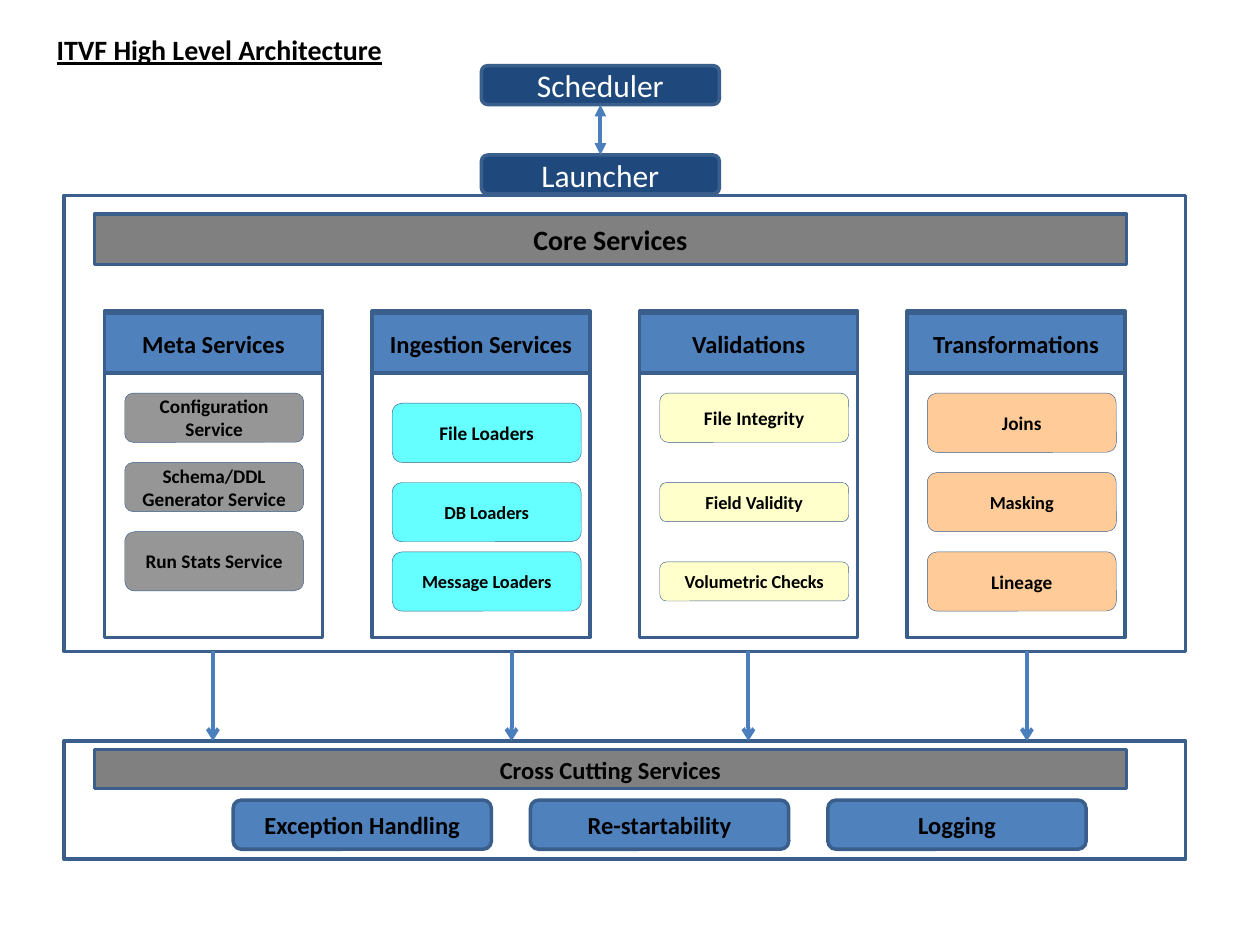
from pptx import Presentation
from pptx.dml.color import RGBColor
from pptx.enum.shapes import MSO_CONNECTOR, MSO_SHAPE
from pptx.enum.text import MSO_ANCHOR, MSO_AUTO_SIZE, PP_ALIGN
from pptx.oxml.ns import qn
from pptx.util import Inches, Pt
from lxml.etree import SubElement

COLORS = {
    "navy": "1F497D",
    "blue": "4F81BD",
    "border": "3A5F8C",
    "arrow": "4B7EBC",
    "bar": "808080",
    "meta": "969696",
    "ingestion": "66FFFF",
    "validation": "FFFFCC",
    "transformation": "FFCC99",
    "black": "000000",
    "white": "FFFFFF",
}
FONT = "Calibri"
RECT = MSO_SHAPE.RECTANGLE
ROUNDED = MSO_SHAPE.ROUNDED_RECTANGLE

COLUMNS = [
    ("Meta Services", "meta", 1.42, [
        ("Configuration Service", 0.65, 0.39, 11),
        ("Schema/DDL Generator Service", 1.2, 0.39, 11),
        ("Run Stats Service", 1.75, 0.47, 11),
    ]),
    ("Ingestion Services", "ingestion", 1.5, [
        ("File Loaders", 0.73, 0.47, 11),
        ("DB Loaders", 1.36, 0.47, 10.5),
        ("Message Loaders", 1.91, 0.47, 10.5),
    ]),
    ("Validations", "validation", 1.5, [
        ("File Integrity", 0.65, 0.39, 11),
        ("Field Validity", 1.36, 0.31, 10.5),
        ("Volumetric Checks", 1.99, 0.31, 10.5),
    ]),
    ("Transformations", "transformation", 1.5, [
        ("Joins", 0.65, 0.47, 11),
        ("Masking", 1.28, 0.47, 10.5),
        ("Lineage", 1.91, 0.47, 11),
    ]),
]
CROSS_CUTTING = ["Exception Handling", "Re-startability", "Logging"]


def color(name):
    return RGBColor.from_string(COLORS[name])


def format_font(font, size, name, bold):
    font.name = FONT
    font.size = Pt(size)
    font.bold = bold
    font.color.rgb = color(name)


def add_box(shapes, kind, box, fill=None, text="", size=14,
            text_color="black", bold=True, border=2):
    shape = shapes.add_shape(kind, *[Inches(length) for length in box])
    shape.shadow.inherit = False
    if fill:
        shape.fill.solid()
        shape.fill.fore_color.rgb = color(fill)
    else:
        shape.fill.background()
    shape.line.color.rgb = color("border")
    shape.line.width = Pt(border)
    if text:
        frame = shape.text_frame
        frame.word_wrap = True
        frame.vertical_anchor = MSO_ANCHOR.MIDDLE
        frame.text = text
        paragraph = frame.paragraphs[0]
        paragraph.alignment = PP_ALIGN.CENTER
        format_font(paragraph.runs[0].font, size, text_color, bold)
    return shape


def add_arrow(shapes, start, end, head=None, tail="arrow"):
    connector = shapes.add_connector(
        MSO_CONNECTOR.STRAIGHT, *[Inches(length) for length in start + end])
    connector.line.color.rgb = color("arrow")
    connector.line.width = Pt(2.25)
    line = connector.line._get_or_add_ln()
    for tag, style in (("a:headEnd", head), ("a:tailEnd", tail)):
        if style:
            SubElement(line, qn(tag), type=style)
    SubElement(connector._element.spPr, qn("a:effectLst"))
    return connector


def add_title(slide, box):
    title = slide.shapes.title
    title.left, title.top, title.width, title.height = [Inches(length) for length in box]
    frame = title.text_frame
    frame.text = "ITVF High Level Architecture"
    frame.word_wrap = False
    frame.auto_size = MSO_AUTO_SIZE.NONE
    frame.vertical_anchor = MSO_ANCHOR.TOP
    paragraph = frame.paragraphs[0]
    paragraph.alignment = PP_ALIGN.LEFT
    font = paragraph.runs[0].font
    format_font(font, 16, "black", True)
    font.underline = True


def add_launch_chain(slide, box):
    left, top, width, height = box
    box_height = 0.31
    scheduler, launcher = [
        add_box(slide.shapes, ROUNDED, (left, box_top, width, box_height), "navy",
                text, 18, "white", False)
        for text, box_top in (("Scheduler", top), ("Launcher", top + height - box_height))
    ]
    middle = left + width / 2
    link = add_arrow(slide.shapes, (middle, top + box_height),
                     (middle, top + height - box_height), "triangle", "triangle")
    link.begin_connect(scheduler, 2)
    link.end_connect(launcher, 0)


def add_column(shapes, box, heading, fill, item_width, items):
    left, top, width, height = box
    add_box(shapes, RECT, box)
    add_box(shapes, RECT, (left, top + 0.02, width, 0.47), "blue", heading)
    for text, offset, item_height, size in items:
        add_box(shapes, ROUNDED, (left + 0.16, top + offset, item_width, item_height),
                fill, text, size, border=0.25)


def add_core_services(slide, box):
    left, top, width, height = box
    shapes = slide.shapes.add_group_shape().shapes
    add_box(shapes, RECT, box)
    add_box(shapes, RECT, (left + 0.24, top + 0.15, 8.19, 0.4), "bar", "Core Services", 16)
    pitch = 6.37 / (len(COLUMNS) - 1)
    for index, column in enumerate(COLUMNS):
        add_column(shapes, (left + 0.32 + index * pitch, top + 0.92, 1.73, 2.59), *column)


def add_cross_cutting_services(slide, box):
    left, top, width, height = box
    shapes = slide.shapes.add_group_shape().shapes
    add_box(shapes, RECT, box)
    add_box(shapes, RECT, (left + 0.24, top + 0.07, 8.19, 0.31), "bar",
            "Cross Cutting Services")
    for index, text in enumerate(CROSS_CUTTING):
        add_box(shapes, ROUNDED, (left + 1.34 + index * 2.36, top + 0.47, 2.05, 0.39),
                "blue", text)


def add_down_arrows(slide, box):
    left, top, width, height = box
    for offset in (1.18, 3.55, 5.43, 7.64):
        add_arrow(slide.shapes, (left + offset, top), (left + offset, top + height))


def main():
    presentation = Presentation()
    presentation.slide_width = Inches(10)
    presentation.slide_height = Inches(7.5)
    slide = presentation.slides.add_slide(presentation.slide_layouts[5])
    add_title(slide, (0.35, 0.21, 2.83, 0.37))
    add_launch_chain(slide, (3.82, 0.52, 1.89, 1.02))
    add_core_services(slide, (0.51, 1.55, 8.9, 3.62))
    add_cross_cutting_services(slide, (0.51, 5.88, 8.9, 0.94))
    add_down_arrows(slide, (0.51, 5.17, 8.9, 0.71))
    presentation.save("out.pptx")


if __name__ == "__main__":
    main()
